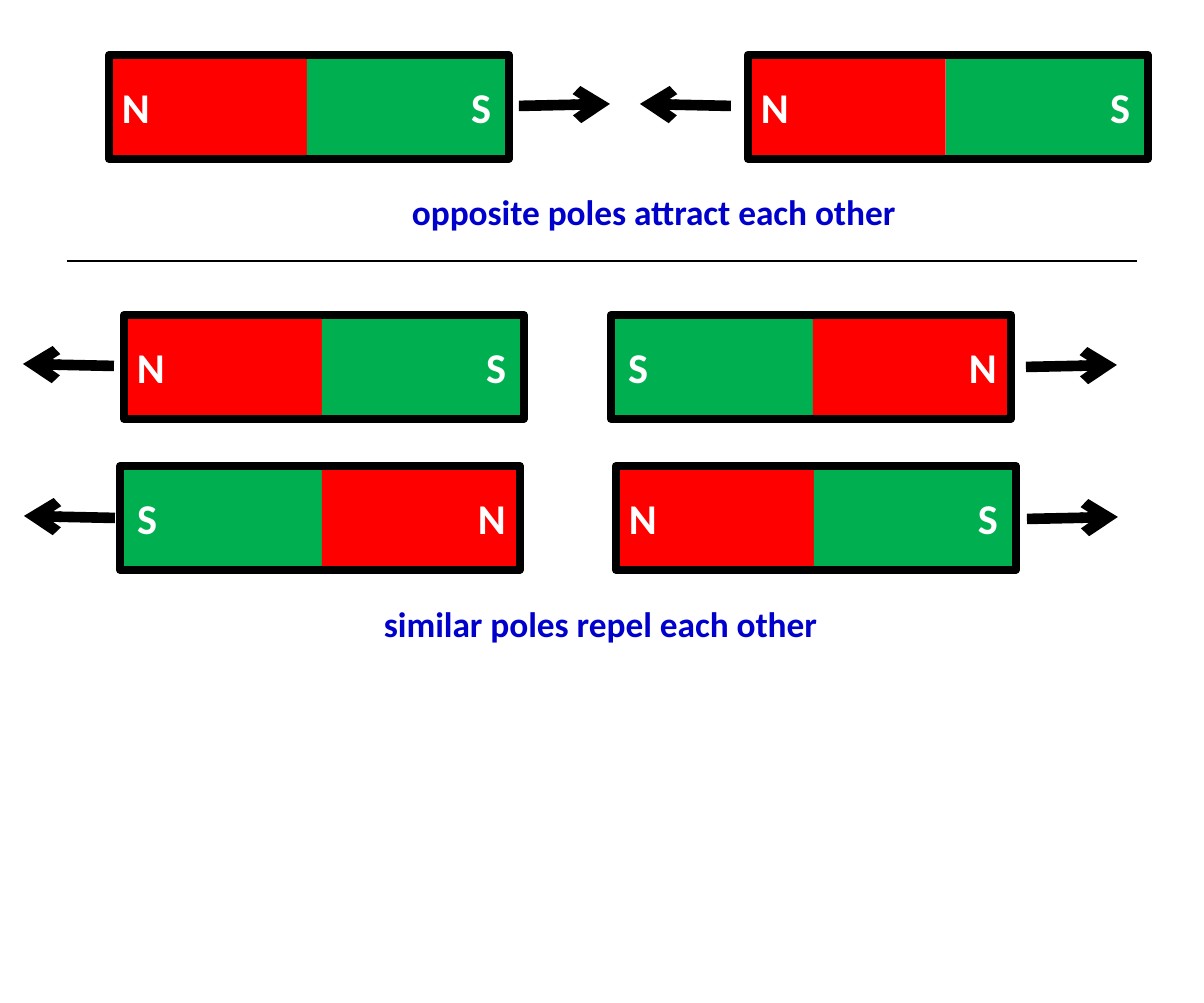
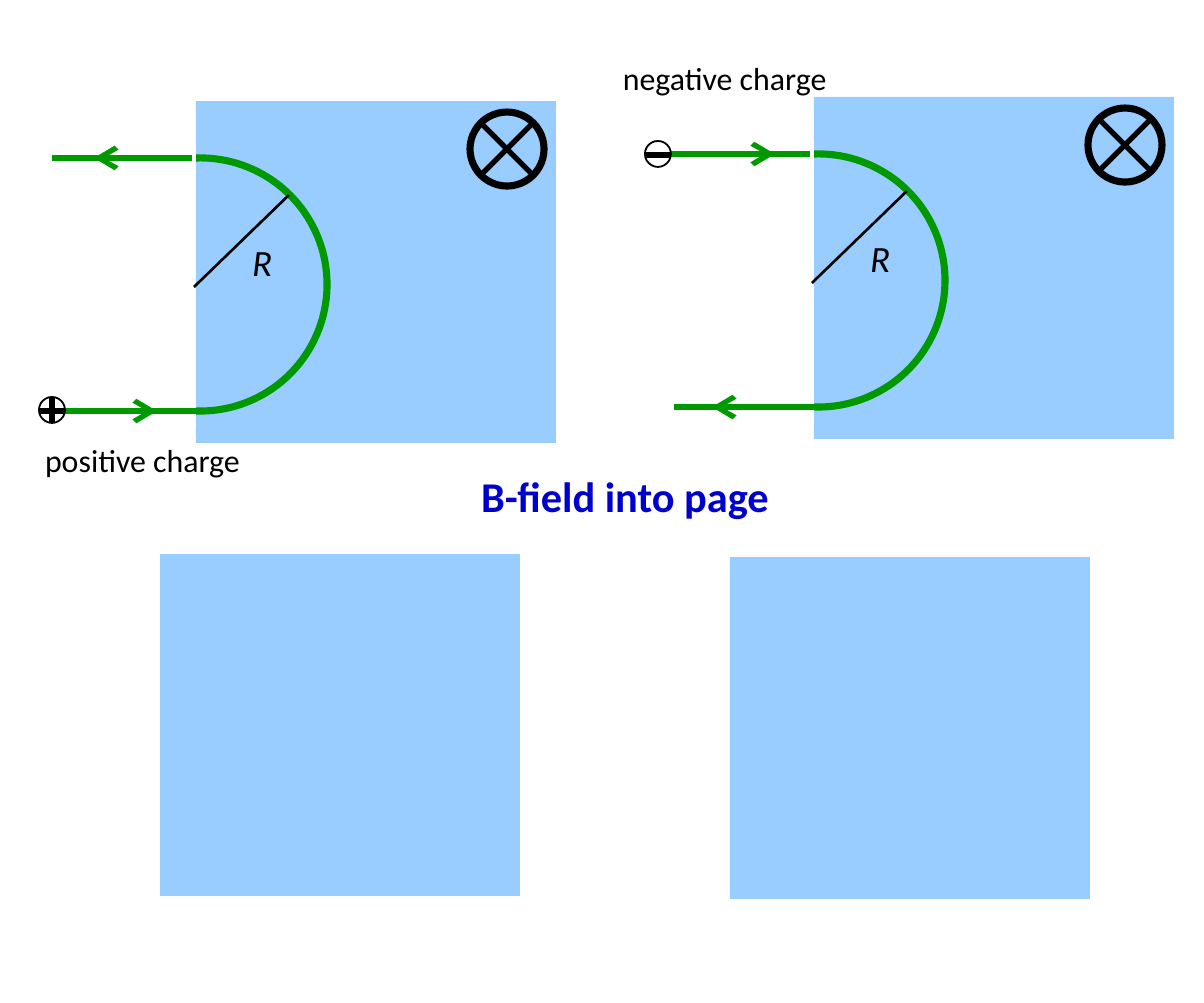
from lxml.etree import SubElement
from pptx import Presentation
from pptx.dml.color import RGBColor
from pptx.enum.shapes import MSO_CONNECTOR as Connector, MSO_SHAPE as Shape
from pptx.enum.text import MSO_AUTO_SIZE as AutoSize
from pptx.oxml.ns import qn
from pptx.util import Pt

PX = 3593  # EMU per px
FONT = "Calibri"
BLACK, WHITE, BLUE = "000000", "FFFFFF", "0000CC"
RED, GREEN = "FF0000", "00B050"
FIELD, TRACK = "99CCFF", "009900"


def color(value):
    return RGBColor.from_string(value)


def add_text(shapes, text, left, top, width, height, size=12, fill=BLUE, bold=False, italic=False):
    box = shapes.add_textbox(left * PX, top * PX, width * PX, height * PX)
    frame = box.text_frame
    frame.word_wrap = False
    frame.auto_size = AutoSize.SHAPE_TO_FIT_TEXT
    run = frame.paragraphs[0].add_run()
    run.text = text
    font = run.font
    font.name, font.size, font.bold, font.italic = FONT, Pt(size), bold, italic
    font.color.rgb = color(fill)


def add_box(shapes, kind, left, top, width, height, fill=None, line=None, weight=1):
    shape = shapes.add_shape(kind, left * PX, top * PX, width * PX, height * PX)
    shape.shadow.inherit = False
    if fill:
        shape.fill.solid()
        shape.fill.fore_color.rgb = color(fill)
    else:
        shape.fill.background()
    if line:
        shape.line.color.rgb = color(line)
        shape.line.width = Pt(weight)
    else:
        shape.line.fill.background()


def add_line(shapes, x1, y1, x2, y2, stroke=BLACK, weight=1.5, arrow=False):
    connector = shapes.add_connector(Connector.STRAIGHT, x1 * PX, y1 * PX, x2 * PX, y2 * PX)
    connector.line.color.rgb = color(stroke)
    connector.line.width = Pt(weight)
    if arrow:
        SubElement(connector.line._get_or_add_ln(), qn("a:tailEnd"), type="arrow")
    SubElement(connector._element.spPr, qn("a:effectLst"))


presentation = Presentation()
presentation.slide_width = 1204 * PX
presentation.slide_height = 1003 * PX
blank = presentation.slide_layouts[6]

# Slide 1: bar magnets
shapes = presentation.slides.add_slide(blank).shapes
MAGNET_WIDTH, MAGNET_HEIGHT = 400, 104
# pole: fill, half width, label width, label overhang beyond the magnet
POLES = {"N": (RED, 198, 79, 12), "S": (GREEN, 202, 71, 8)}
magnets = [
    (109, 55, "NS"), (748, 55, "NS"),
    (124, 315, "NS"), (611, 315, "SN"),
    (120, 466, "SN"), (616, 466, "NS"),
]
for left, top, poles in magnets:
    parts = shapes.add_group_shape().shapes
    right = left + MAGNET_WIDTH
    labels = []
    for side, pole in enumerate(poles):
        fill, half, label_width, overhang = POLES[pole]
        half_left = right - half if side else left
        label_left = right + overhang - label_width if side else left - overhang
        add_box(parts, Shape.RECTANGLE, half_left, top, half, MAGNET_HEIGHT, fill)
        labels.append((pole, label_left, label_width))
    add_box(parts, Shape.RECTANGLE, left, top, MAGNET_WIDTH, MAGNET_HEIGHT, line=BLACK, weight=2.25)
    for pole, label_left, label_width in labels:
        add_text(parts, pole, label_left, top + 14, label_width, 76, fill=WHITE, bold=True)

# Force arrows: start and direction
forces = [(519, 106, 1), (731, 106, -1), (114, 366, -1), (1026, 367, 1), (115, 518, -1), (1027, 519, 1)]
for x, y, direction in forces:
    add_line(shapes, x, y, x + 91 * direction, y - 2, weight=3, arrow=True)

# Captions and divider
add_line(shapes, 67, 261, 1137, 261, weight=0.75)
add_text(shapes, "opposite poles attract each other", 387, 178, 542, 69, size=10, bold=True)
add_text(shapes, "similar poles repel each other", 359, 590, 489, 69, size=10, bold=True)

# Slide 2: charges in a magnetic field
shapes = presentation.slides.add_slide(blank).shapes
FIELD_WIDTH, FIELD_HEIGHT = 360, 342
ENTRY_TOP, ENTRY_BOTTOM = 57, 310
# field corner, charge centre and sign, direction along the top track, label
panels = [
    (196, 101, 52, 410, "+", -1, ("positive charge", 20, 428, 249, 64)),
    (814, 97, 658, 154, "-", 1, ("negative charge", 598, 46, 267, 64)),
]
for left, top, charge_x, charge_y, sign, direction, label in panels:
    add_box(shapes, Shape.RECTANGLE, left, top, FIELD_WIDTH, FIELD_HEIGHT, FIELD)

    # Into-page symbol
    symbol = shapes.add_group_shape().shapes
    add_box(symbol, Shape.OVAL, left + 274, top + 11, 74, 74, FIELD, BLACK, 2)
    for start, end in ((285, 337), (337, 285)):
        add_line(symbol, left + start, top + 22, left + end, top + 74)

    # Half-circle track with straight ends
    add_box(shapes, Shape.OVAL, left - 122, top + ENTRY_TOP, 253, 253, line=TRACK, weight=2)
    add_box(shapes, Shape.RECTANGLE, left - 140, top + 44, 140, 282, WHITE)
    for y, gap, heading in ((ENTRY_TOP, 4, direction), (ENTRY_BOTTOM, 0, -direction)):
        add_line(shapes, left - 140 - gap, top + y, left - gap, top + y, TRACK)
        start, end = (100, 39) if heading > 0 else (41, 102)
        add_line(shapes, left - start, top + y, left - end, top + y, TRACK, arrow=True)

    # Radius
    add_line(shapes, left - 2, top + 186, left + 93, top + 94, weight=0.75)
    add_text(shapes, "R", left + 31, top + 126, 71, 71, size=10.5, fill=BLACK, italic=True)

    # Charge
    charge = shapes.add_group_shape().shapes
    add_box(charge, Shape.OVAL, charge_x - 13, charge_y - 13, 26, 26, WHITE, BLACK, 0.5)
    add_line(charge, charge_x - 12, charge_y + 1, charge_x + 12, charge_y + 1)
    if sign == "+":
        add_line(charge, charge_x, charge_y - 13, charge_x, charge_y + 12)
    add_text(shapes, *label, size=9, fill=BLACK)

# Caption and empty fields
add_text(shapes, "B-field into page", 456, 458, 344, 76, bold=True)
for left, top in ((160, 554), (730, 557)):
    add_box(shapes, Shape.RECTANGLE, left, top, FIELD_WIDTH, FIELD_HEIGHT, FIELD)

presentation.save("out.pptx")
